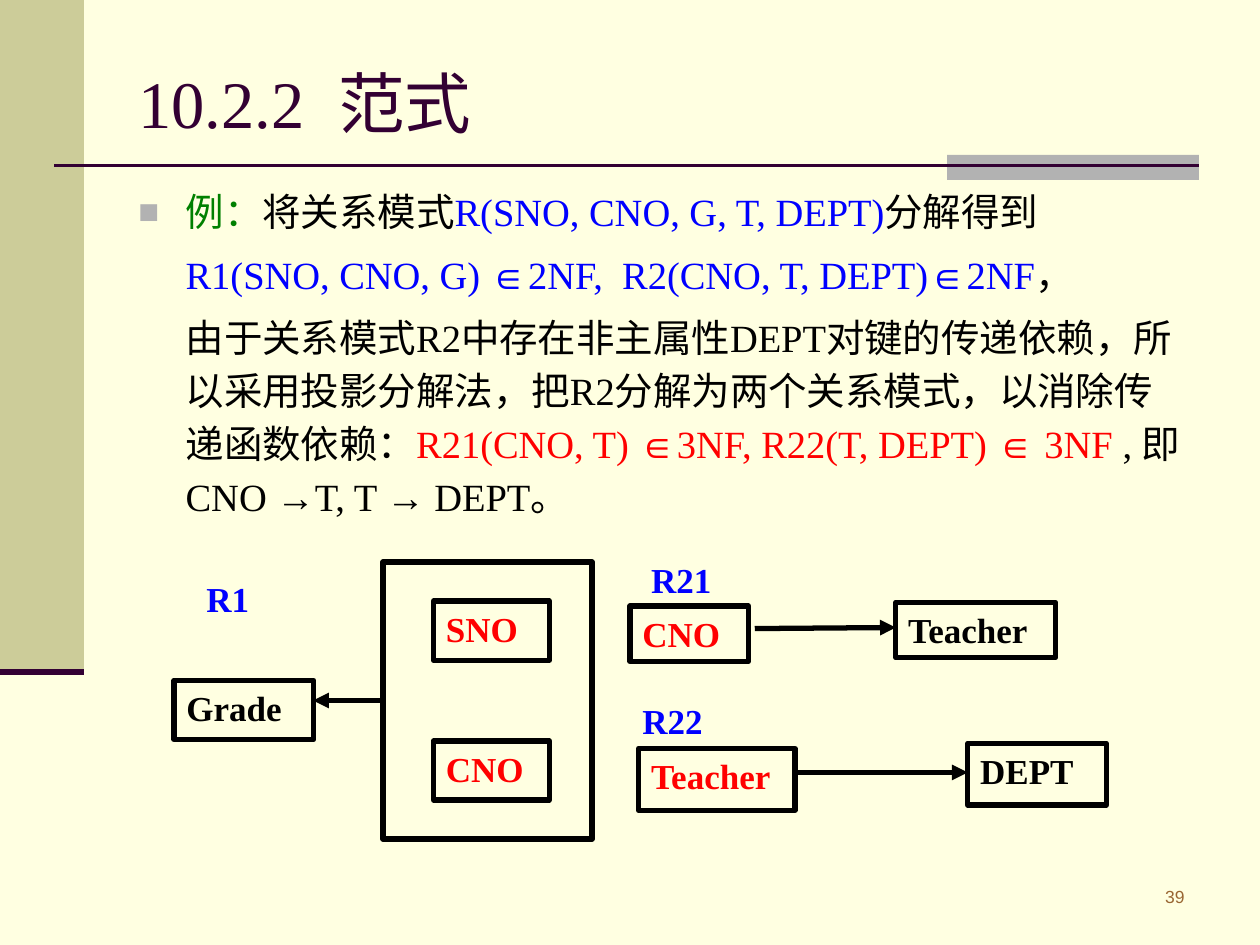
import pptx
import pptx.dml.color
import pptx.enum.shapes
import pptx.enum.text
import pptx.util
from lxml import etree

Pt = pptx.util.Pt
ALIGN = pptx.enum.text.PP_ALIGN
ANCHOR = pptx.enum.text.MSO_ANCHOR
SERIF, SANS = "Times New Roman", "Arial"
BLACK, RED, BLUE, GREEN = "000000", "FF0000", "0000FF", "008000"
PLUM, GRAY = "330033", "B2B2B2"
A = "{http://schemas.openxmlformats.org/drawingml/2006/main}"


def paint(color_format, code):
    color_format.rgb = pptx.dml.color.RGBColor.from_string(code)


def style(span, size, color, font=SERIF, bold=False):
    span.font.size = Pt(size)
    span.font.name = font
    span.font.bold = bold
    paint(span.font.color, color)


def write(box, text, size, color, font=SERIF, bold=False, align=ALIGN.LEFT,
          anchor=ANCHOR.TOP):
    frame = box.text_frame
    frame.word_wrap = True
    frame.vertical_anchor = anchor
    frame.text = text
    para = frame.paragraphs[0]
    para.alignment = align
    style(para.runs[0], size, color, font, bold)


def add_text(page, place, text, size, color, **options):
    box = page.shapes.add_textbox(*map(Pt, place))
    write(box, text, size, color, **options)


def add_box(page, place, fill=None, line=None):
    box = page.shapes.add_shape(
        pptx.enum.shapes.MSO_SHAPE.RECTANGLE, *map(Pt, place))
    box.shadow.inherit = False
    if fill:
        box.fill.solid()
        paint(box.fill.fore_color, fill)
    else:
        box.fill.background()
    if line:
        paint(box.line.color, line)
        box.line.width = Pt(3)
    else:
        box.line.fill.background()
    return box


def add_line(page, start, end, color, width, arrow=False):
    line = page.shapes.add_connector(
        pptx.enum.shapes.MSO_CONNECTOR.STRAIGHT, *map(Pt, start + end))
    paint(line.line.color, color)
    line.line.width = Pt(width)
    if arrow:
        etree.SubElement(line.line._get_or_add_ln(), A + "tailEnd", type="triangle")
    etree.SubElement(line._element.spPr, A + "effectLst")


def add_bullet(para):
    props = para._p.get_or_add_pPr()
    props.set("indent", str(-Pt(27)))
    color = etree.SubElement(props, A + "buClr")
    etree.SubElement(color, A + "srgbClr", val=GRAY)
    etree.SubElement(props, A + "buSzPct", val="90000")
    etree.SubElement(props, A + "buFont", typeface=SANS)
    etree.SubElement(props, A + "buChar", char="■")


def add_body(page, place, paragraphs):
    frame = page.shapes.add_textbox(*map(Pt, place)).text_frame
    frame.word_wrap = True
    for index, parts in enumerate(paragraphs):
        para = frame.add_paragraph() if index else frame.paragraphs[0]
        para._p.get_or_add_pPr().set("marL", str(Pt(27)))
        if index:
            para.space_before = Pt(5.5)
        else:
            add_bullet(para)
        para.line_spacing = 1.15
        for text, color in parts:
            span = para.add_run()
            span.text = text
            style(span, 22, color, SANS if text == "→" else SERIF)


def main():
    deck = pptx.Presentation()
    deck.slide_width, deck.slide_height = Pt(720), Pt(540)
    page = deck.slides.add_slide(deck.slide_layouts[6])
    page.background.fill.solid()
    paint(page.background.fill.fore_color, "FFFFE1")

    # Side band and title rule
    add_box(page, (0, 0, 48, 384), fill="CCCC99")
    add_box(page, (541.2, 88.5, 144, 14.4), fill=GRAY)
    add_line(page, (31, 94.5), (685.2, 94.5), PLUM, 1.5)
    add_line(page, (0, 384), (48, 384), PLUM, 3.5)

    # Page number and title
    add_text(page, (592.5, 502.5, 91.5, 25), "39", 10, "996633",
             font=SANS, align=ALIGN.RIGHT)
    add_text(page, (72, 21.6, 612, 72.7), "10.2.2  范式", 38, PLUM,
             anchor=ANCHOR.MIDDLE)

    # Explanation
    add_body(page, (72, 100, 612, 397), [
        [("例：", GREEN), ("将关系模式", BLACK),
         ("R(SNO, CNO, G, T, DEPT)", BLUE), ("分解得到", BLACK)],
        [("R1(SNO, CNO, G) ∈2NF,  R2(CNO, T, DEPT)∈2NF", BLUE), ("，", BLACK)],
        [("由于关系模式R2中存在非主属性DEPT对键的传递依赖，所以采用投影分解法，"
          "把R2分解为两个关系模式，以消除传递函数依赖：", BLACK),
         ("R21(CNO, T) ∈3NF, R22(T, DEPT) ∈ 3NF ", RED),
         (", 即CNO ", BLACK), ("→", BLACK), ("T, T ", BLACK),
         ("→", BLACK), (" DEPT。", BLACK)],
    ])

    # Attribute boxes: keys in red, dependent attributes in black
    add_box(page, (218.9, 321.1, 119.5, 158.4), line=BLACK)
    for text, color, place in [
        ("SNO", RED, (247.7, 343.5, 66.2, 33.8)),
        ("CNO", RED, (247.7, 423.4, 66.2, 33.8)),
        ("Grade", BLACK, (99.4, 388.8, 79.9, 33.8)),
        ("CNO", RED, (360, 346.3, 67.7, 31.7)),
        ("Teacher", BLACK, (511.9, 344.2, 91.4, 31.7)),
        ("Teacher", RED, (365, 427.7, 89.3, 35.3)),
        ("DEPT", BLACK, (553, 424.8, 79.2, 35.3)),
    ]:
        write(add_box(page, place, line=BLACK), text, 20, color, bold=True)

    # Relation names
    for text, place in [
        ("R1", (110.9, 326.2, 43.2, 33.8)),
        ("R21", (365, 315.4, 55.4, 20.9)),
        ("R22", (360, 396, 69.1, 23)),
    ]:
        add_text(page, place, text, 20, BLUE, bold=True)

    # Dependency arrows
    for start, end in [
        ((218.9, 400.3), (178.9, 400.3)),
        ((431.3, 359.2), (511.9, 358.6)),
        ((454.3, 441.4), (553, 441.4)),
    ]:
        add_line(page, start, end, BLACK, 3, arrow=True)

    deck.save("out.pptx")


if __name__ == "__main__":
    main()
